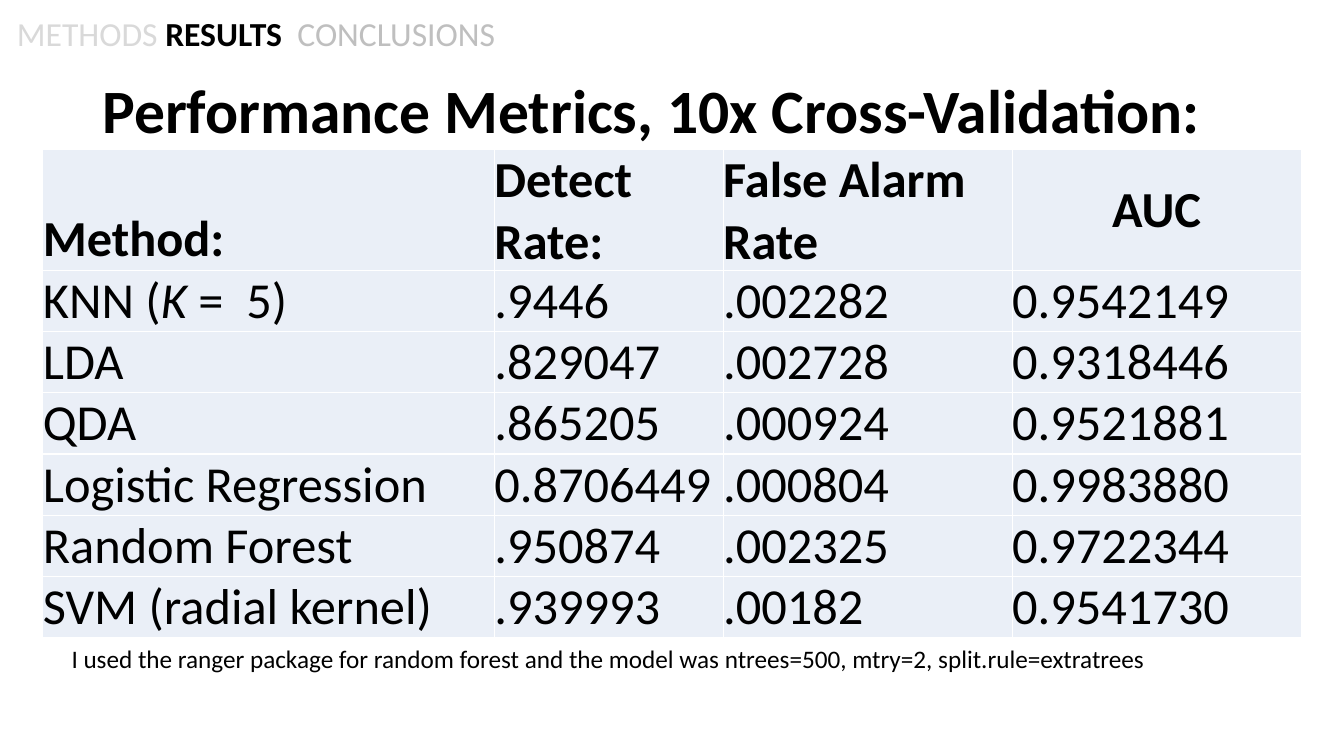
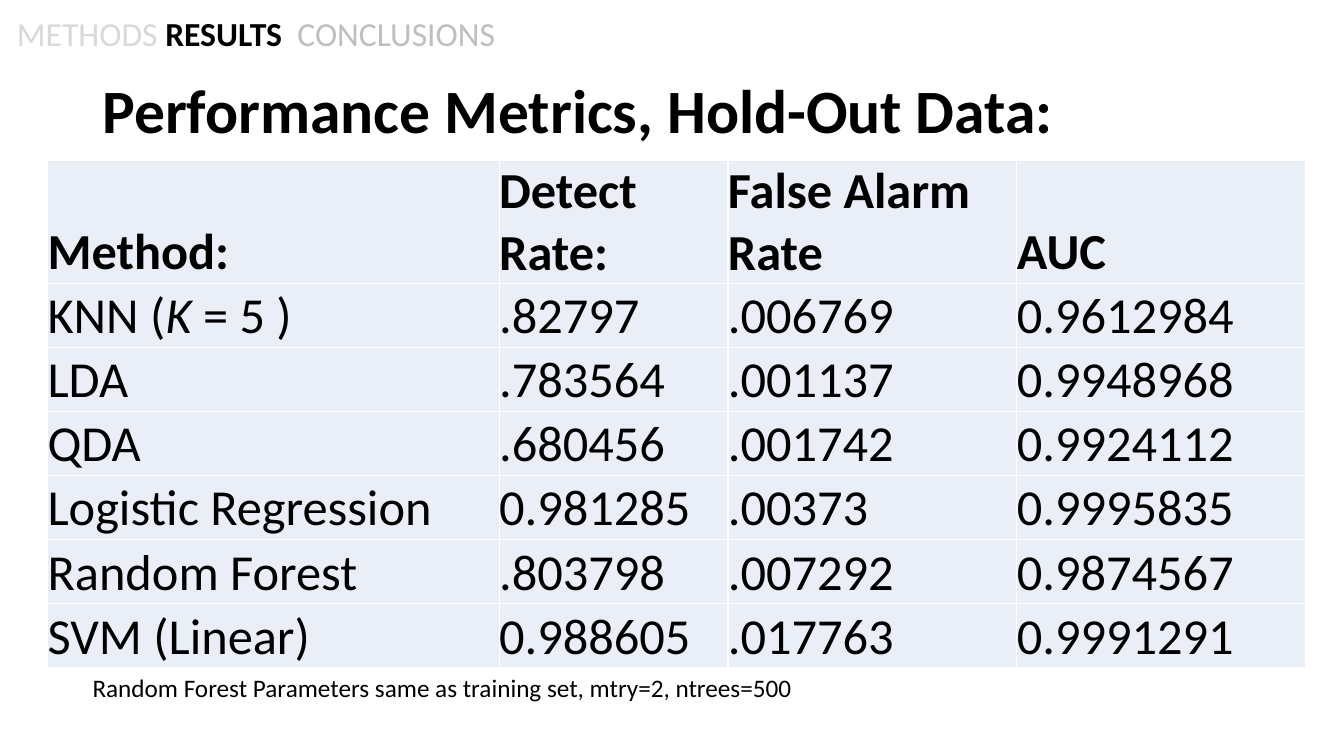
from lxml import etree
from pptx import Presentation
from pptx.dml.color import RGBColor
from pptx.enum.text import MSO_ANCHOR, MSO_AUTO_SIZE, PP_ALIGN
from pptx.oxml.ns import qn
from pptx.util import Pt

MIDDLE, BOTTOM = MSO_ANCHOR.MIDDLE, MSO_ANCHOR.BOTTOM
CENTER = PP_ALIGN.CENTER
GROW = MSO_AUTO_SIZE.SHAPE_TO_FIT_TEXT

FONT = "Calibri"
BLACK, WHITE, PALE_BLUE = "000000", "FFFFFF", "EAEFF7"
COLUMN_WIDTHS = (322.6, 163.4, 206.4, 206.4)
HEADINGS = ("Method:", "Detect Rate:", "False Alarm Rate", "AUC")
SECTIONS = (
    ("METHODS", {"color": "D9D9D9"}),
    (" RESULTS  ", {"bold": True}),
    ("CONCLUSIONS", {"color": "BFBFBF"}),
)


def rgb(color):
    return RGBColor.from_string(color)


def knn(ending):
    """Label of the KNN row, with its parameter in italics."""
    return ("KNN (", {}), ("K ", {"italic": True}), (ending, {})


def write(para, content, size, bold=False):
    """Fill a paragraph with a string or with (text, style) spans."""
    para.font.name = FONT
    para.font.size = Pt(size)
    para.font.bold = bold
    para.font.color.rgb = rgb(BLACK)
    spans = ((content, {}),) if isinstance(content, str) else content
    for text, style in spans:
        span = para.add_run()
        span.text = text
        if "color" in style:
            span.font.color.rgb = rgb(style["color"])
        if "bold" in style:
            span.font.bold = style["bold"]
        if "italic" in style:
            span.font.italic = style["italic"]


def add_borders(cell, color, width):
    properties = cell._tc.get_or_add_tcPr()
    for index, side in enumerate(("lnL", "lnR", "lnT", "lnB")):
        line = etree.Element(qn(f"a:{side}"), w=str(Pt(width)))
        fill = etree.SubElement(line, qn("a:solidFill"))
        etree.SubElement(fill, qn("a:srgbClr"), val=color)
        properties.insert(index, line)


class MetricsDeck:
    def __init__(self):
        self.deck = Presentation()
        self.deck.slide_width = Pt(960)
        self.deck.slide_height = Pt(540)
        self.page = None

    def add_page(self, title):
        self.page = self.deck.slides.add_slide(self.deck.slide_layouts[6])
        self.add_title(title)
        self.add_text(SECTIONS, 5, 6, 361, 36, 24, wrap=False)

    def add_text(self, content, left, top, width, height, size, bold=False, wrap=True):
        box = self.page.shapes.add_textbox(Pt(left), Pt(top), Pt(width), Pt(height))
        frame = box.text_frame
        frame.word_wrap = wrap
        frame.auto_size = GROW
        write(frame.paragraphs[0], content, size, bold)
        return frame

    def add_title(self, title):
        frame = self.add_text(title, 66, 28.8, 828, 104.4, 44, bold=True)
        frame.auto_size = MSO_AUTO_SIZE.NONE
        frame.vertical_anchor = MIDDLE
        frame.paragraphs[0].line_spacing = 0.9

    def add_note(self, note, left, top):
        self.add_text(note, left, top, 901, 29, 18)

    def add_table(self, rows, left, top, header_height, row_height):
        rows = (HEADINGS, *rows)
        heights = [header_height] + [row_height] * (len(rows) - 1)
        table = self.page.shapes.add_table(
            len(rows), len(HEADINGS), Pt(left), Pt(top),
            Pt(sum(COLUMN_WIDTHS)), Pt(sum(heights)),
        ).table
        for column, width in zip(table.columns, COLUMN_WIDTHS):
            column.width = Pt(width)
        for row_index, (row, height) in enumerate(zip(rows, heights)):
            table.rows[row_index].height = Pt(height)
            for column_index, content in enumerate(row):
                cell = table.cell(row_index, column_index)
                self.fill_cell(cell, content, bold=row_index == 0)
        return table

    def fill_cell(self, cell, content, bold):
        cell.margin_left = cell.margin_right = cell.margin_top = cell.margin_bottom = 0
        cell.vertical_anchor = BOTTOM
        cell.fill.solid()
        cell.fill.fore_color.rgb = rgb(PALE_BLUE)
        add_borders(cell, WHITE, 1)
        write(cell.text_frame.paragraphs[0], content, 36, bold)


def main():
    metrics = MetricsDeck()

    metrics.add_page("Performance Metrics, 10x Cross-Validation:")
    table = metrics.add_table((
        (knn("=  5)"), ".9446", ".002282", "0.9542149"),
        ("LDA", ".829047", ".002728", "0.9318446"),
        ("QDA", ".865205", ".000924", "0.9521881"),
        ("Logistic Regression", "0.8706449", ".000804", "0.9983880"),
        ("Random Forest", ".950874", ".002325", "0.9722344"),
        ("SVM (radial kernel)", ".939993", ".00182", "0.9541730"),
    ), left=30.6, top=106.8, header_height=85.5, row_height=43.7)
    auc_heading = table.cell(0, 3)
    auc_heading.vertical_anchor = MIDDLE
    auc_heading.text_frame.paragraphs[0].alignment = CENTER
    metrics.add_note(
        "I used the ranger package for random forest and the model was "
        "ntrees=500, mtry=2, split.rule=extratrees", left=44, top=456)

    metrics.add_page("Performance Metrics, Hold-Out Data:")
    metrics.add_table((
        (knn("= 5 )"), ".82797", ".006769", "0.9612984"),
        ("LDA", ".783564", ".001137", "0.9948968"),
        ("QDA", ".680456", ".001742", "0.9924112"),
        ("Logistic Regression", "0.981285", ".00373", "0.9995835"),
        ("Random Forest", ".803798", ".007292", "0.9874567"),
        ("SVM (Linear)", "0.988605", ".017763", "0.9991291"),
    ), left=34, top=114.8, header_height=87.5, row_height=45.8)
    metrics.add_note(
        "Random Forest Parameters same as training set, mtry=2, ntrees=500",
        left=59, top=476.6)

    metrics.deck.save("out.pptx")


if __name__ == "__main__":
    main()
